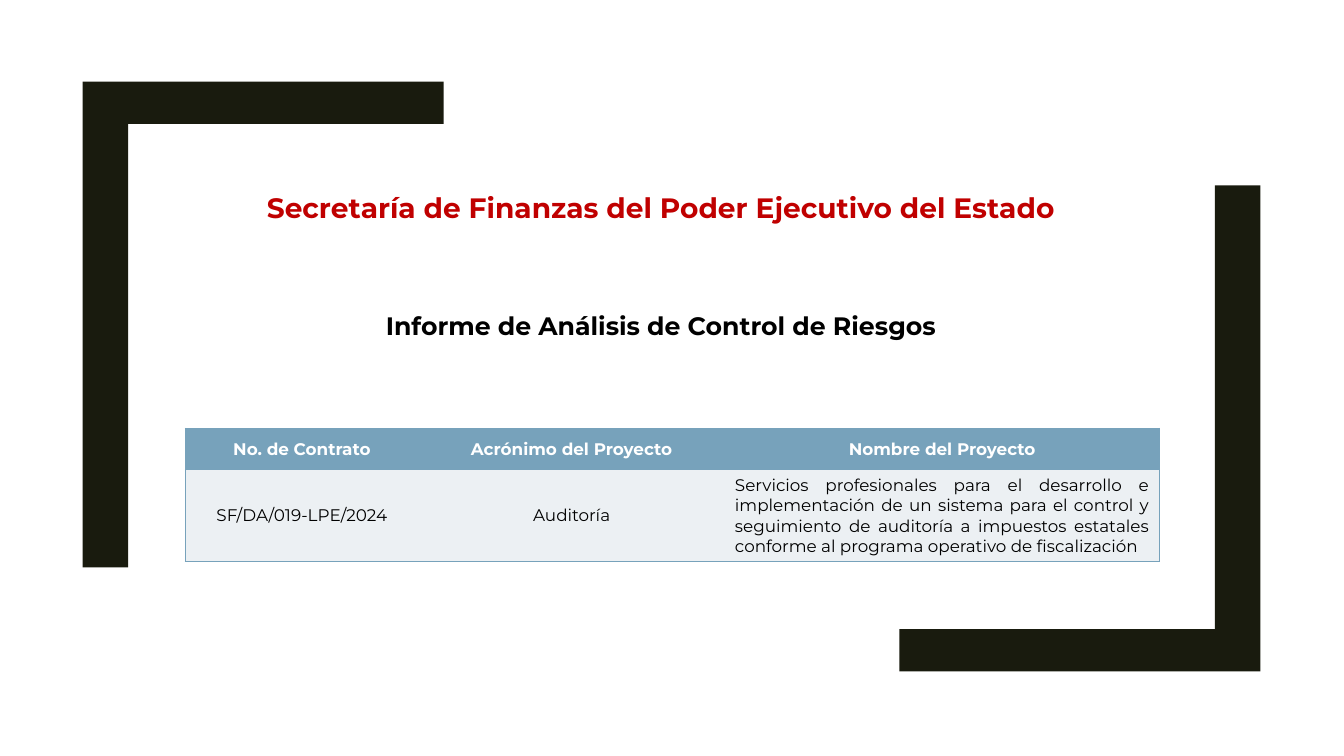
from dataclasses import dataclass

from lxml import etree
from pptx import Presentation
from pptx.dml.color import RGBColor
from pptx.enum.text import MSO_ANCHOR, PP_ALIGN
from pptx.oxml.ns import qn
from pptx.util import Inches, Pt

CENTER, JUSTIFY = PP_ALIGN.CENTER, PP_ALIGN.JUSTIFY
MIDDLE = MSO_ANCHOR.MIDDLE


@dataclass(frozen=True)
class Theme:
    font: str = "Montserrat"
    bracket: str = "191B0E"
    red: str = "C00000"
    black: str = "000000"
    white: str = "FFFFFF"
    blue: str = "77A2BB"
    pale: str = "ECF0F3"
    title_size: int = 20
    subtitle_size: int = 18
    table_size: int = 12


T = Theme()

# text, top, size, colour
HEADINGS = [
    ("Secretaría de Finanzas del Poder Ejecutivo del Estado", 1.8, T.title_size, T.red),
    ("Informe de Análisis de Control de Riesgos", 2.97, T.subtitle_size, T.black),
]
TABLE = [
    ("No. de Contrato", "Acrónimo del Proyecto", "Nombre del Proyecto"),
    ("SF/DA/019-LPE/2024", "Auditoría",
     "Servicios profesionales para el desarrollo e implementación de un sistema "
     "para el control y seguimiento de auditoría a impuestos estatales conforme "
     "al programa operativo de fiscalización"),
]

SLIDE_W, SLIDE_H = 13.33, 7.5
HEADING_LEFT, HEADING_W, HEADING_H = 1.16, 10.79, 0.56
TABLE_LEFT, TABLE_TOP = 1.84, 4.25
COL_WIDTHS = (2.31, 3.04, 4.31)
ROW_HEIGHTS = (0.41, 0.91)
BRACKET_W, BRACKET_H = 3.58, 4.82
BAR_W, BAR_H = 0.45, 0.42
# outer corner x, y and the direction in which the arms run
BRACKETS = [(0.82, 0.81, 1), (12.5, 6.66, -1)]


def add_bracket(slide, x, y, direction):
    outline = [(0, 0), (BRACKET_W, 0), (BRACKET_W, BAR_H), (BAR_W, BAR_H),
               (BAR_W, BRACKET_H), (0, BRACKET_H)]
    points = [(Inches(x + direction * dx), Inches(y + direction * dy))
              for dx, dy in outline]
    builder = slide.shapes.build_freeform(*points[0])
    builder.add_line_segments(points[1:], close=True)
    sp = builder.convert_to_shape()
    sp.shadow.inherit = False
    sp.fill.solid()
    sp.fill.fore_color.rgb = RGBColor.from_string(T.bracket)
    sp.line.fill.background()


def write(tf, text, size, color, bold, align):
    tf.text = text
    p = tf.paragraphs[0]
    p.alignment = align
    font = p.runs[0].font
    font.name, font.size, font.bold = T.font, Pt(size), bold
    font.color.rgb = RGBColor.from_string(color)
    return p


def add_heading(slide, text, top, size, color):
    box = slide.shapes.add_textbox(Inches(HEADING_LEFT), Inches(top),
                                   Inches(HEADING_W), Inches(HEADING_H))
    tf = box.text_frame
    tf.word_wrap = True
    tf.vertical_anchor = MIDDLE
    write(tf, text, size, color, True, CENTER).line_spacing = 0.89


def set_borders(cell, visible):
    """Draw the visible sides (of L, R, T, B) and clear the others."""
    tcPr = cell._tc.get_or_add_tcPr()
    for side in "LRTB":
        ln = etree.SubElement(tcPr, qn("a:ln" + side), w=str(Pt(1)))
        if side in visible:
            fill = etree.SubElement(ln, qn("a:solidFill"))
            etree.SubElement(fill, qn("a:srgbClr"), val=T.blue)
        else:
            etree.SubElement(ln, qn("a:noFill"))


def add_project_table(slide):
    table = slide.shapes.add_table(
        len(TABLE), len(COL_WIDTHS), Inches(TABLE_LEFT), Inches(TABLE_TOP),
        Inches(sum(COL_WIDTHS)), Inches(sum(ROW_HEIGHTS))).table
    for column, width in zip(table.columns, COL_WIDTHS):
        column.width = Inches(width)
    last = len(COL_WIDTHS) - 1
    for r, (texts, height) in enumerate(zip(TABLE, ROW_HEIGHTS)):
        table.rows[r].height = Inches(height)
        header = r == 0
        for c, text in enumerate(texts):
            cell = table.cell(r, c)
            cell.vertical_anchor = MIDDLE
            set_borders(cell, "TB" + "L" * (c == 0) + "R" * (c == last))
            cell.fill.solid()
            cell.fill.fore_color.rgb = RGBColor.from_string(T.blue if header else T.pale)
            align = JUSTIFY if c == last and not header else CENTER
            write(cell.text_frame, text, T.table_size,
                  T.white if header else T.black, header, align)


def main():
    prs = Presentation()
    prs.slide_width, prs.slide_height = Inches(SLIDE_W), Inches(SLIDE_H)
    slide = prs.slides.add_slide(prs.slide_layouts[6])
    for bracket in BRACKETS:
        add_bracket(slide, *bracket)
    for heading in HEADINGS:
        add_heading(slide, *heading)
    add_project_table(slide)
    prs.save("out.pptx")


if __name__ == "__main__":
    main()
